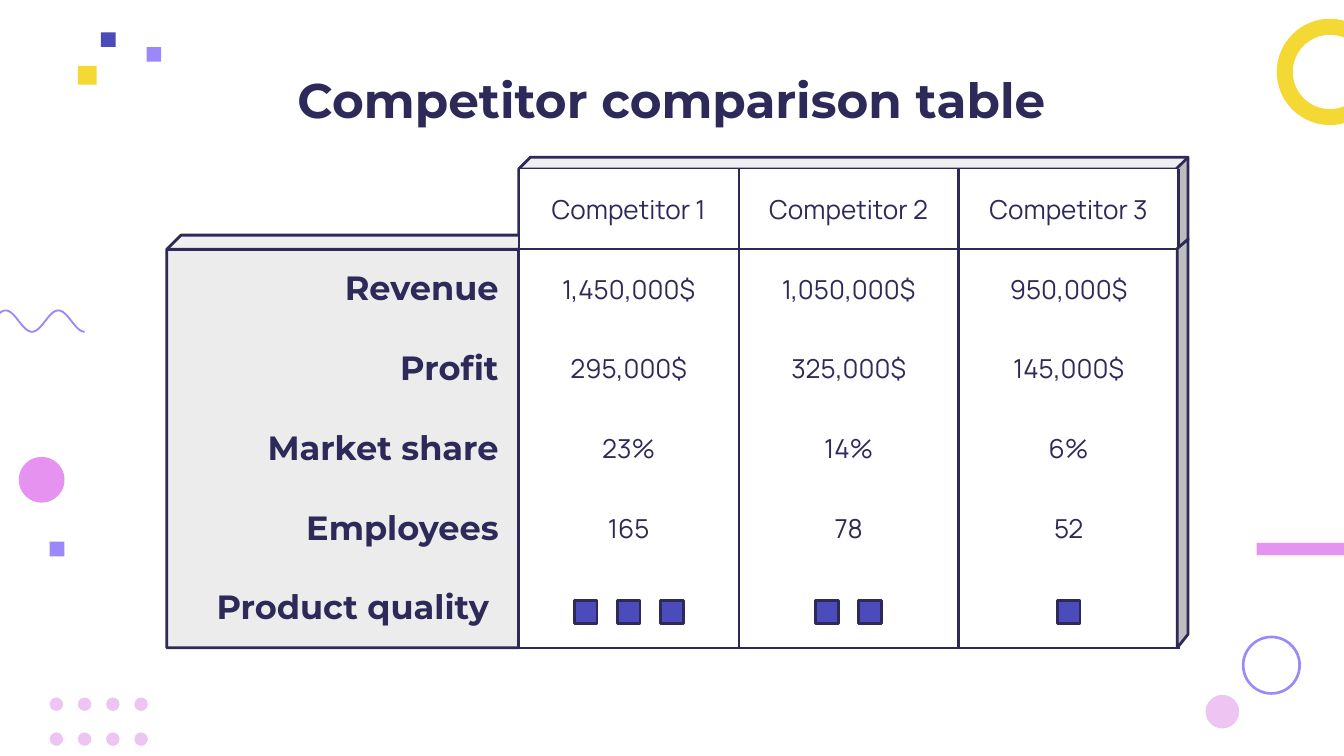
import math
from lxml import etree
from pptx import Presentation, util as u
from pptx.dml.color import RGBColor
from pptx.enum import shapes as sh, text as tx
from pptx.oxml.ns import qn

INK, GREY, SIDE, WHITE = "2D2958", "ECECEC", "BEBEBE", "FFFFFF"
YELLOW, LILAC, BLUE, PINK, PALE = "F4D834", "9C88FA", "4B4BBB", "E592F1", "EDC4F2"
LINE_WIDTH = 1.5

# Table grid
LEFT, TOP, LABEL_WIDTH = 1.24, 1.26, 2.62
COLUMN_WIDTH, ROW_HEIGHT = 4.91 / 3, 3.56 / 6
ROWS = [
    ("", "Competitor 1", "Competitor 2", "Competitor 3"),
    ("Revenue", "1,450,000$", "1,050,000$", "950,000$"),
    ("Profit", "295,000$", "325,000$", "145,000$"),
    ("Market share", "23%", "14%", "6%"),
    ("Employees", "165", "78", "52"),
    ("Product quality ", "", "", ""),
]
QUALITY = (3, 2, 1)

LABEL = {"size": u.Pt(18), "name": "Montserrat", "bold": True}
VALUE = {"size": u.Pt(14), "name": "Manrope", "bold": False}
TITLE = {"size": u.Pt(26), "name": "Montserrat", "bold": True}

KIND = sh.MSO_SHAPE
ALIGN = tx.PP_ALIGN


def color(value):
    return RGBColor.from_string(value)


def paint(shape, fill=None, line=None, width=LINE_WIDTH):
    shape.shadow.inherit = False
    if fill:
        shape.fill.solid()
        shape.fill.fore_color.rgb = color(fill)
    else:
        shape.fill.background()
    if line:
        shape.line.color.rgb = color(line)
        shape.line.width = u.Pt(width)
    else:
        shape.line.fill.background()


def add_block(page, kind, box, fill, line=None, adjust=None):
    shape = page.shapes.add_shape(kind, *map(u.Inches, box))
    paint(shape, fill, line)
    if adjust is not None:
        shape.adjustments[0] = adjust


def add_outline(page, points, closed, **style):
    corners = [(u.Inches(x), u.Inches(y)) for x, y in points]
    builder = page.shapes.build_freeform(*corners[0])
    builder.add_line_segments(corners[1:], close=closed)
    paint(builder.convert_to_shape(), **style)


def write(frame, words, align, style):
    para = frame.paragraphs[0]
    para.alignment = align
    span = para.add_run()
    span.text = words
    for name, value in style.items():
        setattr(span.font, name, value)
    span.font.color.rgb = color(INK)


def set_borders(cell, sides):
    """Draw the sides named in the string (from LRTB) and clear the others."""
    props = cell._tc.get_or_add_tcPr()
    for index, side in enumerate("LRTB"):
        line = etree.Element(qn(f"a:ln{side}"), w=str(u.Pt(LINE_WIDTH)))
        if side in sides:
            fill = etree.SubElement(line, qn("a:solidFill"))
            etree.SubElement(fill, qn("a:srgbClr"), val=INK)
        else:
            etree.SubElement(line, qn("a:noFill"))
        props.insert(index, line)


def add_decorations(page):
    # Grid of dots
    for row in range(2):
        for column in range(4):
            box = (0.37 + 0.21 * column, 5.19 + 0.26 * row, 0.1, 0.1)
            add_block(page, KIND.OVAL, box, PALE)
    # Wave
    wave = [(-0.35 + 0.02 * step,
             2.39 - 0.08 * math.cos(2 * math.pi * step * 0.02 / 0.392))
            for step in range(50)]
    add_outline(page, wave, False, line=LILAC, width=1)
    # Rings, circles, squares and bar
    for kind, box, fill, adjust in (
        (KIND.DONUT, (9.5, 0.14, 0.79, 0.79), YELLOW, 0.15),
        (KIND.DONUT, (9.24, 4.73, 0.44, 0.44), LILAC, 0.045),
        (KIND.OVAL, (0.14, 3.4, 0.34, 0.34), PINK, None),
        (KIND.OVAL, (8.97, 5.17, 0.25, 0.25), PALE, None),
        (KIND.RECTANGLE, (9.35, 4.04, 0.88, 0.09), PINK, None),
        (KIND.RECTANGLE, (0.58, 0.49, 0.14, 0.14), YELLOW, None),
        (KIND.RECTANGLE, (1.09, 0.35, 0.11, 0.11), LILAC, None),
        (KIND.RECTANGLE, (0.75, 0.24, 0.11, 0.11), BLUE, None),
        (KIND.RECTANGLE, (0.37, 4.03, 0.11, 0.11), LILAC, None),
    ):
        add_block(page, kind, box, fill, adjust=adjust)


def add_title(page, words):
    title = page.shapes.title
    box = {"left": 0.83, "top": 0.42, "width": 8.34, "height": 0.63}
    for name, value in box.items():
        setattr(title, name, u.Inches(value))
    frame = title.text_frame
    frame.vertical_anchor = tx.MSO_ANCHOR.MIDDLE
    for side in ("left", "right", "top", "bottom"):
        setattr(frame, f"margin_{side}", u.Inches(0.1))
    write(frame, words, ALIGN.CENTER, TITLE)


def fill_cell(cell, words, row, column):
    is_label = column == 0
    layout = {"vertical_anchor": tx.MSO_ANCHOR.MIDDLE,
              "margin_left": u.Inches(0.05 if is_label else 0.1),
              "margin_right": u.Inches(0.15 if is_label else 0.1),
              "margin_top": u.Inches(0.1), "margin_bottom": u.Inches(0.1)}
    for name, value in layout.items():
        setattr(cell, name, value)
    if is_label:
        cell.fill.background()
        set_borders(cell, "R")
    else:
        cell.fill.solid()
        cell.fill.fore_color.rgb = color(WHITE)
        edges = {0: "B", 1: "T", len(ROWS) - 1: "B"}
        set_borders(cell, "LR" + edges.get(row, ""))
    if words:
        write(cell.text_frame, words, ALIGN.RIGHT if is_label else ALIGN.CENTER,
              LABEL if is_label else VALUE)


def add_comparison(page):
    widths = [LABEL_WIDTH] + [COLUMN_WIDTH] * 3
    box = (LEFT, TOP, sum(widths), ROW_HEIGHT * len(ROWS))
    table = page.shapes.add_table(len(ROWS), len(widths), *map(u.Inches, box)).table
    table.first_row = table.horz_banding = False
    for column, width in zip(table.columns, widths):
        column.width = u.Inches(width)
    for row, words in enumerate(ROWS):
        table.rows[row].height = u.Inches(ROW_HEIGHT)
        for column, word in enumerate(words):
            fill_cell(table.cell(row, column), word, row, column)


def add_quality_marks(page, size=0.17, step=0.32):
    for column, count in enumerate(QUALITY):
        middle = LEFT + LABEL_WIDTH + COLUMN_WIDTH * (column + 0.5)
        start = middle - (step * (count - 1) + size) / 2
        for mark in range(count):
            box = (start + step * mark, 4.47, size, size)
            add_block(page, KIND.RECTANGLE, box, BLUE, INK)


def main():
    deck = Presentation()
    # Widescreen, 16 to 9
    deck.slide_width, deck.slide_height = u.Inches(10), u.Inches(10 * 9 / 16)
    page = deck.slides.add_slide(deck.slide_layouts[5])
    add_decorations(page)
    # Solid blocks behind the table
    add_block(page, KIND.CUBE, (3.86, 1.17, 4.98, 0.7), GREY, INK, 0.125)
    add_block(page, KIND.CUBE, (1.24, 1.75, 2.72, 3.07), GREY, INK, 0.039)
    add_title(page, "Competitor comparison table")
    add_comparison(page)
    # Right side of the table block
    side = [(8.76, 1.85), (8.84, 1.78), (8.84, 4.72), (8.76, 4.82)]
    add_outline(page, side, True, fill=SIDE, line=INK)
    add_quality_marks(page)
    deck.save("out.pptx")


if __name__ == "__main__":
    main()
